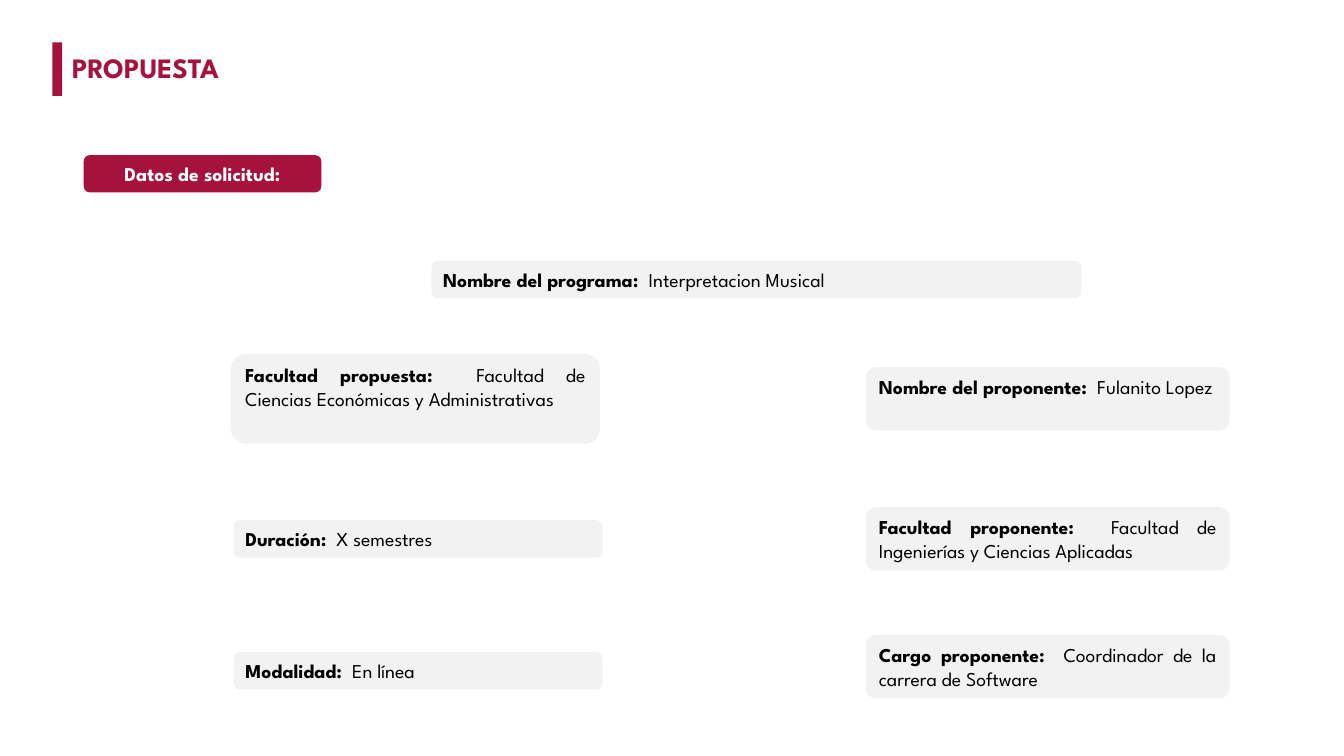
"""Build the PROPUESTA slide with the application data of a programme."""
import pptx
import pptx.dml.color
import pptx.enum.shapes
import pptx.enum.text
import pptx.util

Cm = pptx.util.Cm
Shape = pptx.enum.shapes.MSO_SHAPE
Align = pptx.enum.text.PP_ALIGN

CRIMSON = pptx.dml.color.RGBColor(0xA5, 0x13, 0x3D)
PALE_GREY = pptx.dml.color.RGBColor(0xF2, 0xF2, 0xF2)
BLACK = pptx.dml.color.RGBColor(0, 0, 0)
WHITE = pptx.dml.color.RGBColor(255, 255, 255)


def add_run(paragraph, text, size=14, color=BLACK, bold=False):
    run = paragraph.add_run()
    run.text = text
    run.font.name = "League Spartan"
    run.font.size = pptx.util.Pt(size)
    run.font.bold = bold
    run.font.color.rgb = color


def add_panel(kind, left, top, width, height, fill, align=Align.JUSTIFY):
    panel = slide.shapes.add_shape(kind, Cm(left), Cm(top), Cm(width), Cm(height))
    panel.shadow.inherit = False
    panel.fill.solid()
    panel.fill.fore_color.rgb = fill
    panel.line.fill.background()
    frame = panel.text_frame
    frame.word_wrap = True
    frame.auto_size = pptx.enum.text.MSO_AUTO_SIZE.SHAPE_TO_FIT_TEXT
    frame.vertical_anchor = pptx.enum.text.MSO_ANCHOR.TOP
    frame.paragraphs[0].alignment = align
    return frame.paragraphs[0]


deck = pptx.Presentation()
deck.slide_width = Cm(33.87)
deck.slide_height = Cm(19.05)
slide = deck.slides.add_slide(deck.slide_layouts[6])

heading = slide.shapes.add_textbox(Cm(1.57), Cm(1.17), Cm(4.83), Cm(1.14)).text_frame
heading.word_wrap = True
heading.vertical_anchor = pptx.enum.text.MSO_ANCHOR.MIDDLE
heading.paragraphs[0].alignment = Align.JUSTIFY
heading.paragraphs[0].line_spacing = 0.9
add_run(heading.paragraphs[0], "PROPUESTA", size=20, color=CRIMSON, bold=True)
add_panel(Shape.RECTANGLE, 1.32, 1.07, 0.25, 1.35, CRIMSON)

section = add_panel(Shape.ROUNDED_RECTANGLE, 2.11, 3.91, 5.99, 0.94, CRIMSON, Align.CENTER)
add_run(section, "Datos de solicitud:", color=WHITE, bold=True)

fields = [
    ("Nombre del programa: ", " Interpretacion Musical", 10.87, 6.58, 16.38, 0.94),
    ("Facultad propuesta:", "  Facultad de Ciencias Económicas y Administrativas", 5.82, 8.92, 9.3, 2.26),
    ("Duración: ", " X semestres", 5.89, 13.11, 9.3, 0.94),
    ("Modalidad: ", " En línea", 5.89, 16.43, 9.3, 0.94),
    ("Nombre del proponente: ", " Fulanito Lopez", 21.82, 9.25, 9.17, 1.6),
    ("Facultad proponente: ", " Facultad de Ingenierías y Ciencias Aplicadas", 21.82, 12.78, 9.17, 1.6),
    ("Cargo proponente:", "  Coordinador de la carrera de Software", 21.82, 16, 9.17, 1.6),
]
for label, answer, left, top, width, height in fields:
    field = add_panel(Shape.ROUNDED_RECTANGLE, left, top, width, height, PALE_GREY)
    add_run(field, label, bold=True)
    add_run(field, answer)

deck.save("out.pptx")
